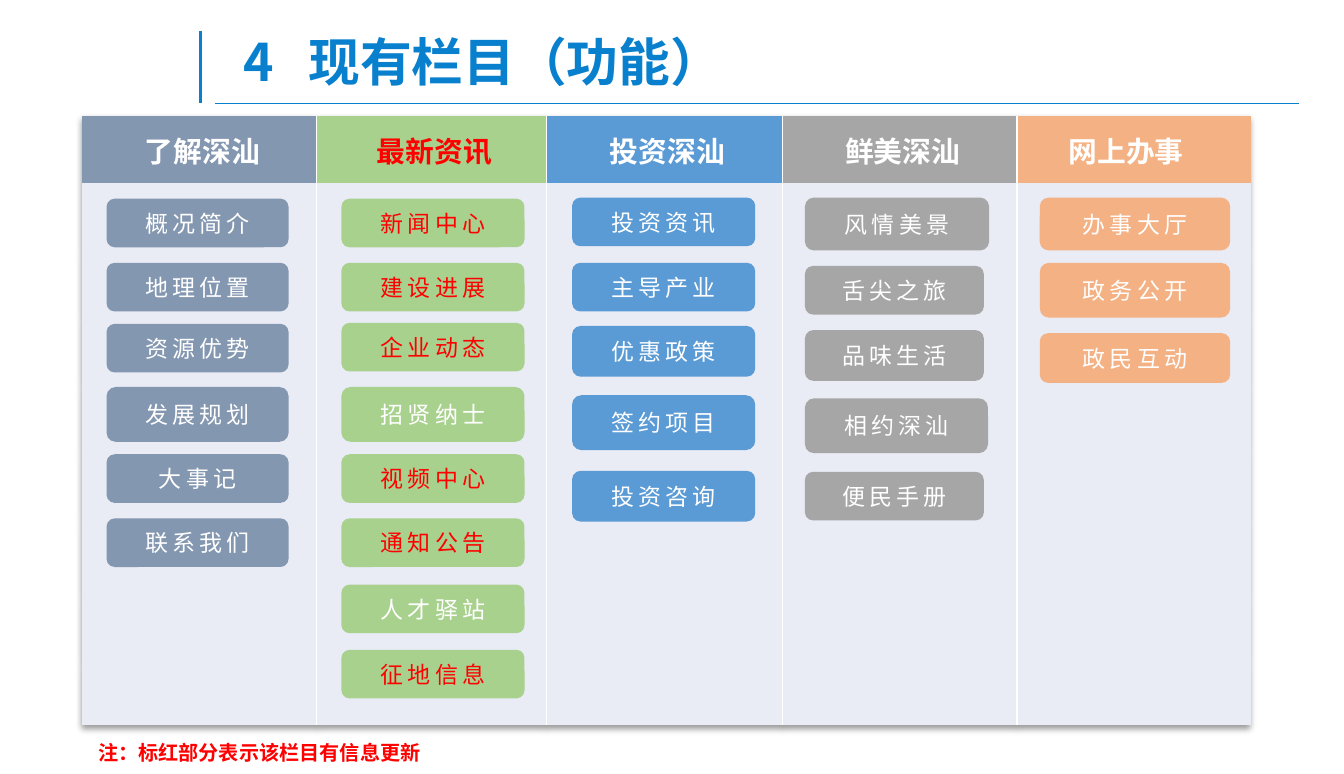
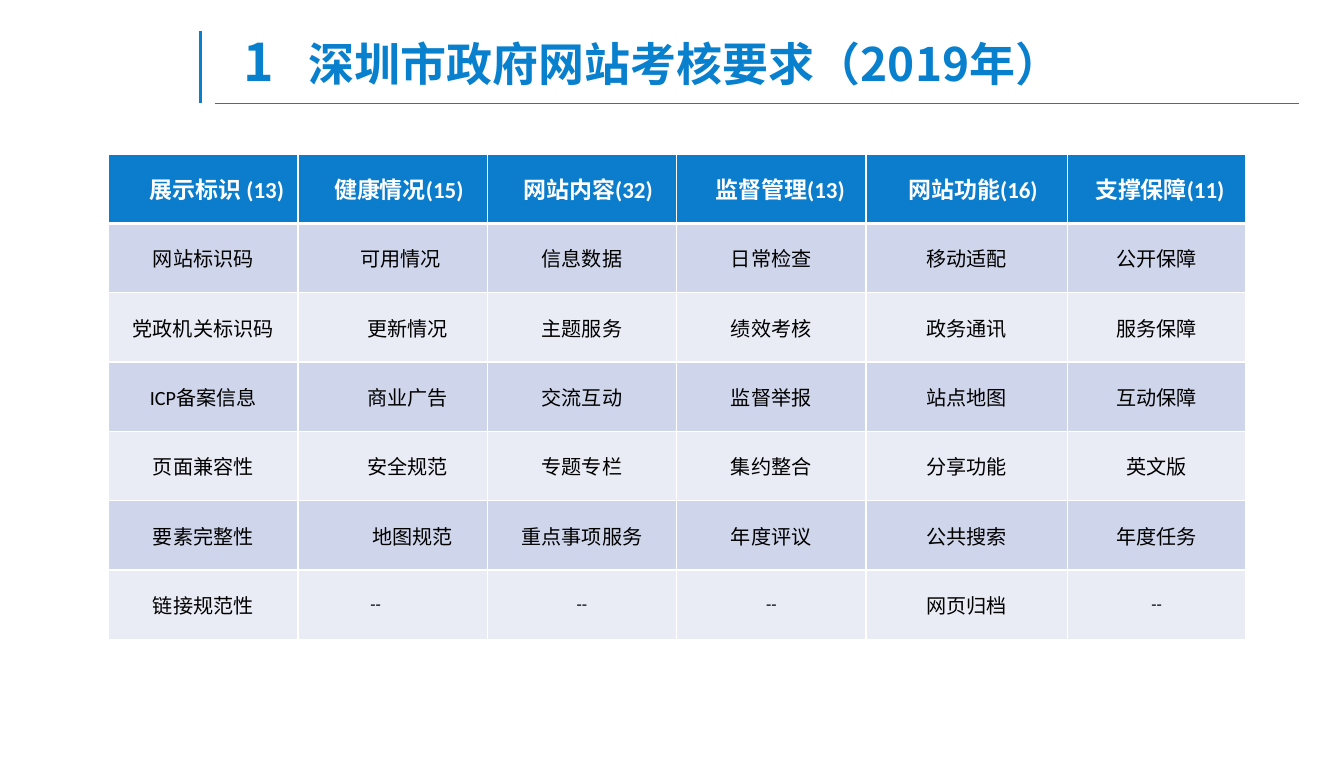
from dataclasses import dataclass
from typing import Optional

from lxml.etree import SubElement
from pptx import Presentation
from pptx.dml.color import RGBColor
from pptx.enum.shapes import MSO_CONNECTOR, MSO_SHAPE
from pptx.enum.text import MSO_ANCHOR, MSO_AUTO_SIZE, PP_ALIGN
from pptx.oxml import parse_xml
from pptx.oxml.ns import qn
from pptx.util import Inches, Pt

# Shared look
CJK, LATIN = "Noto Sans CJK SC", "Calibri"
BLUE, WHITE, BLACK, RED = "0980CD", "FFFFFF", "000000", "FF0000"
HEADER_BLUE, BAND_DARK, BAND_LIGHT = "0B7DCC", "CFD5EA", "E9EBF5"
NAMESPACE = 'xmlns:a="http://schemas.openxmlformats.org/drawingml/2006/main"'
NO_STYLE = "{2D5ABB26-0587-4C30-8999-92F81FD0307C}"
CELL_MARGIN = 0.1
SPACE_WIDTH = 0.06


@dataclass
class Button:
    text: str
    top: float
    height: float = 0.47
    red: bool = False
    width: Optional[float] = None


@dataclass
class Section:
    name: str
    color: str
    column_width: float
    button_left: float
    button_width: float
    buttons: list[Button]
    red: bool = False
    pad_left: float = SPACE_WIDTH
    pad_right: float = 0


@dataclass
class Topic:
    name: str
    width: float
    pad: float
    items: list[str]
    indents: Optional[list[float]] = None


SECTIONS = [
    Section("了解深汕", "8497B0", 2.27, 1.03, 1.76, [
        Button("概况简介", 1.92), Button("地理位置", 2.54),
        Button("资源优势", 3.13), Button("发展规划", 3.74, 0.53),
        Button("大事记", 4.39), Button("联系我们", 5.01)]),
    Section("最新资讯", "A9D18E", 2.22, 3.3, 1.77, [
        Button("新闻中心", 1.92, red=True), Button("建设进展", 2.54, red=True),
        Button("企业动态", 3.12, red=True), Button("招贤纳士", 3.74, 0.53),
        Button("视频中心", 4.39, red=True), Button("通知公告", 5.01, red=True),
        Button("人才驿站", 5.65), Button("征地信息", 6.28, red=True)], red=True),
    Section("投资深汕", "5B9BD5", 2.28, 5.53, 1.77, [
        Button("投资资讯", 1.91), Button("主导产业", 2.54),
        Button("优惠政策", 3.15, 0.49), Button("签约项目", 3.82, 0.53),
        Button("投资咨询", 4.55, 0.49)]),
    Section("鲜美深汕", "A6A6A6", 2.27, 7.78, 1.73, [
        Button("风情美景", 1.91, 0.51, width=1.78), Button("舌尖之旅", 2.57),
        Button("品味生活", 3.19, 0.49), Button("相约深汕", 3.85, 0.53, width=1.77),
        Button("便民手册", 4.56)]),
    Section("网上办事", "F4B183", 2.26, 10.05, 1.84, [
        Button("办事大厅", 1.91, 0.51), Button("政务公开", 2.54, 0.53),
        Button("政民互动", 3.22, 0.48)], pad_left=0, pad_right=0.15),
]
SECTION_ROWS = [0.65] * 6 + [0.73, 0.65, 0.61]

TOPICS = [
    Topic("展示标识 (13)", 1.83, 0.26,
          ["网站标识码", "党政机关标识码", "ICP备案信息", "页面兼容性", "要素完整性", "链接规范性"]),
    Topic("健康情况(15)", 1.83, 0.12,
          ["可用情况", "更新情况", "商业广告", "安全规范", "地图规范", "--"],
          [0.5, 0.57, 0.57, 0.57, 0.62, 0.6]),
    Topic("网站内容(32)", 1.83, 0.12,
          ["信息数据", "主题服务", "交流互动", "专题专栏", "重点事项服务", "--"]),
    Topic("监督管理(13)", 1.83, 0.17,
          ["日常检查", "绩效考核", "监督举报", "集约整合", "年度评议", "--"]),
    Topic("网站功能(16)", 1.95, 0.12,
          ["移动适配", "政务通讯", "站点地图", "分享功能", "公共搜索", "网页归档"]),
    Topic("支撑保障(11)", 1.72, 0.06,
          ["公开保障", "服务保障", "互动保障", "英文版", "年度任务", "--"]),
]
TOPIC_ROWS = [0.67] * 7


def rgb(color: str) -> RGBColor:
    return RGBColor.from_string(color)


def add_span(para, text: str, size: float, color: str, bold: bool = False,
             font: str = CJK, spacing: float = 0) -> None:
    span = para.add_run()
    span.text = text
    span.font.size = Pt(size)
    span.font.bold = bold
    span.font.color.rgb = rgb(color)
    span.font.name = font
    properties = span.font._element
    SubElement(properties, qn("a:ea")).set("typeface", CJK)
    if spacing:
        properties.set("spc", str(int(spacing * 100)))


def add_rule(page, start: tuple, end: tuple, width: float) -> None:
    points = [Inches(value) for value in (*start, *end)]
    rule = page.shapes.add_connector(MSO_CONNECTOR.STRAIGHT, *points)
    rule.line.color.rgb = rgb(BLUE)
    rule.line.width = Pt(width)
    SubElement(rule._element.spPr, qn("a:effectLst"))


def add_titled_page(deck, number: str, title: str, number_size: float, title_size: float):
    page = deck.slides.add_slide(deck.slide_layouts[5])
    add_rule(page, (2.08, 1), (12.56, 1), 0.5)
    add_rule(page, (1.94, 0.3), (1.94, 1), 2.25)
    box = page.shapes.title
    box.left, box.top, box.width, box.height = map(Inches, (2.25, 0.28, 10.24, 0.69))
    frame = box.text_frame
    frame.vertical_anchor = MSO_ANCHOR.MIDDLE
    frame.auto_size = MSO_AUTO_SIZE.NONE
    para = frame.paragraphs[0]
    para.alignment = PP_ALIGN.LEFT
    para.line_spacing = 0.9
    # The tab stop lines up the heading after its number
    para._p.get_or_add_pPr().append(parse_xml(
        f'<a:tabLst {NAMESPACE}><a:tab pos="{Inches(0.63)}" algn="l"/></a:tabLst>'))
    add_span(para, number + "\t", number_size, BLUE, True)
    add_span(para, title, title_size, BLUE, True)
    return page


def add_plain_table(page, left: float, top: float, widths: list[float], heights: list[float]):
    frame = page.shapes.add_table(len(heights), len(widths), Inches(left), Inches(top),
                                  Inches(sum(widths)), Inches(sum(heights)))
    table = frame.table
    table._tbl.tblPr.find(qn("a:tableStyleId")).text = NO_STYLE
    for column, width in zip(table.columns, widths):
        column.width = Inches(width)
    for row, height in zip(table.rows, heights):
        row.height = Inches(height)
    return table


def style_cell(cell, fill: str, borders: dict[str, float]) -> None:
    properties = cell._tc.get_or_add_tcPr()
    for side in "LRTB":
        if side in borders:
            properties.append(parse_xml(
                f'<a:ln{side} {NAMESPACE} w="{Pt(borders[side])}"><a:solidFill>'
                f'<a:srgbClr val="{WHITE}"/></a:solidFill></a:ln{side}>'))
    cell.fill.solid()
    cell.fill.fore_color.rgb = rgb(fill)
    cell.vertical_anchor = MSO_ANCHOR.MIDDLE


def write_cell(cell, text: str, size: float, color: str, bold: bool = False,
               pad_left: float = 0, pad_right: float = 0, centred: bool = True) -> None:
    cell.margin_left = Inches(CELL_MARGIN + pad_left)
    cell.margin_right = Inches(CELL_MARGIN + pad_right)
    para = cell.text_frame.paragraphs[0]
    para.alignment = PP_ALIGN.CENTER if centred else PP_ALIGN.LEFT
    add_span(para, text, size, color, bold, LATIN)


def add_button(page, section: Section, button: Button) -> None:
    width = button.width or section.button_width
    box = page.shapes.add_shape(
        MSO_SHAPE.ROUNDED_RECTANGLE, Inches(section.button_left), Inches(button.top),
        Inches(width), Inches(button.height))
    box.shadow.inherit = False
    box.fill.solid()
    box.fill.fore_color.rgb = rgb(section.color)
    box.line.fill.background()
    box.text_frame.vertical_anchor = MSO_ANCHOR.MIDDLE
    para = box.text_frame.paragraphs[0]
    para.alignment = PP_ALIGN.CENTER
    add_span(para, button.text, 16, RED if button.red else WHITE, spacing=3)


def build_sections_page(deck) -> None:
    page = add_titled_page(deck, "4", "现有栏目（功能）", 36, 36)
    widths = [section.column_width for section in SECTIONS]
    table = add_plain_table(page, 0.79, 1.12, widths, SECTION_ROWS)
    table._tbl.tblPr.insert(0, parse_xml(
        f'<a:effectLst {NAMESPACE}><a:outerShdw blurRad="50800" dist="38100" dir="5400000">'
        f'<a:srgbClr val="{BLACK}"><a:alpha val="40000"/></a:srgbClr>'
        '</a:outerShdw></a:effectLst>'))
    for column, section in enumerate(SECTIONS):
        # White rules only between the columns
        borders = {}
        if column > 0:
            borders["L"] = 1
        if column < len(SECTIONS) - 1:
            borders["R"] = 1
        for row in range(len(SECTION_ROWS)):
            style_cell(table.cell(row, column), BAND_LIGHT if row else section.color, borders)
        write_cell(table.cell(0, column), section.name, 20, RED if section.red else WHITE,
                   True, section.pad_left, section.pad_right)
        for button in section.buttons:
            add_button(page, section, button)
    # Legend
    note = page.shapes.add_textbox(Inches(0.85), Inches(7.11), Inches(3.34), Inches(0.34))
    note.text_frame.word_wrap = False
    note.text_frame.auto_size = MSO_AUTO_SIZE.SHAPE_TO_FIT_TEXT
    add_span(note.text_frame.paragraphs[0], "注：标红部分表示该栏目有信息更新", 14, RED, True)


def build_requirements_page(deck) -> None:
    page = add_titled_page(deck, "1", "深圳市政府网站考核要求（2019年）", 36, 32)
    table = add_plain_table(page, 1.05, 1.49, [topic.width for topic in TOPICS], TOPIC_ROWS)
    for column, topic in enumerate(TOPICS):
        header = table.cell(0, column)
        style_cell(header, HEADER_BLUE, {"L": 1, "R": 1, "T": 1, "B": 3})
        write_cell(header, topic.name, 16, WHITE, True, topic.pad)
        for row, item in enumerate(topic.items, start=1):
            cell = table.cell(row, column)
            style_cell(cell, BAND_DARK if row % 2 else BAND_LIGHT,
                       {"L": 1, "R": 1, "T": 3 if row == 1 else 1, "B": 1})
            indent = topic.indents[row - 1] if topic.indents else 0
            write_cell(cell, item, 12 if item == "--" else 14, BLACK,
                       pad_left=indent, centred=topic.indents is None)


def main() -> None:
    deck = Presentation()
    deck.slide_width, deck.slide_height = Inches(12.99), Inches(7.48)
    build_sections_page(deck)
    build_requirements_page(deck)
    deck.save("out.pptx")


if __name__ == "__main__":
    main()
